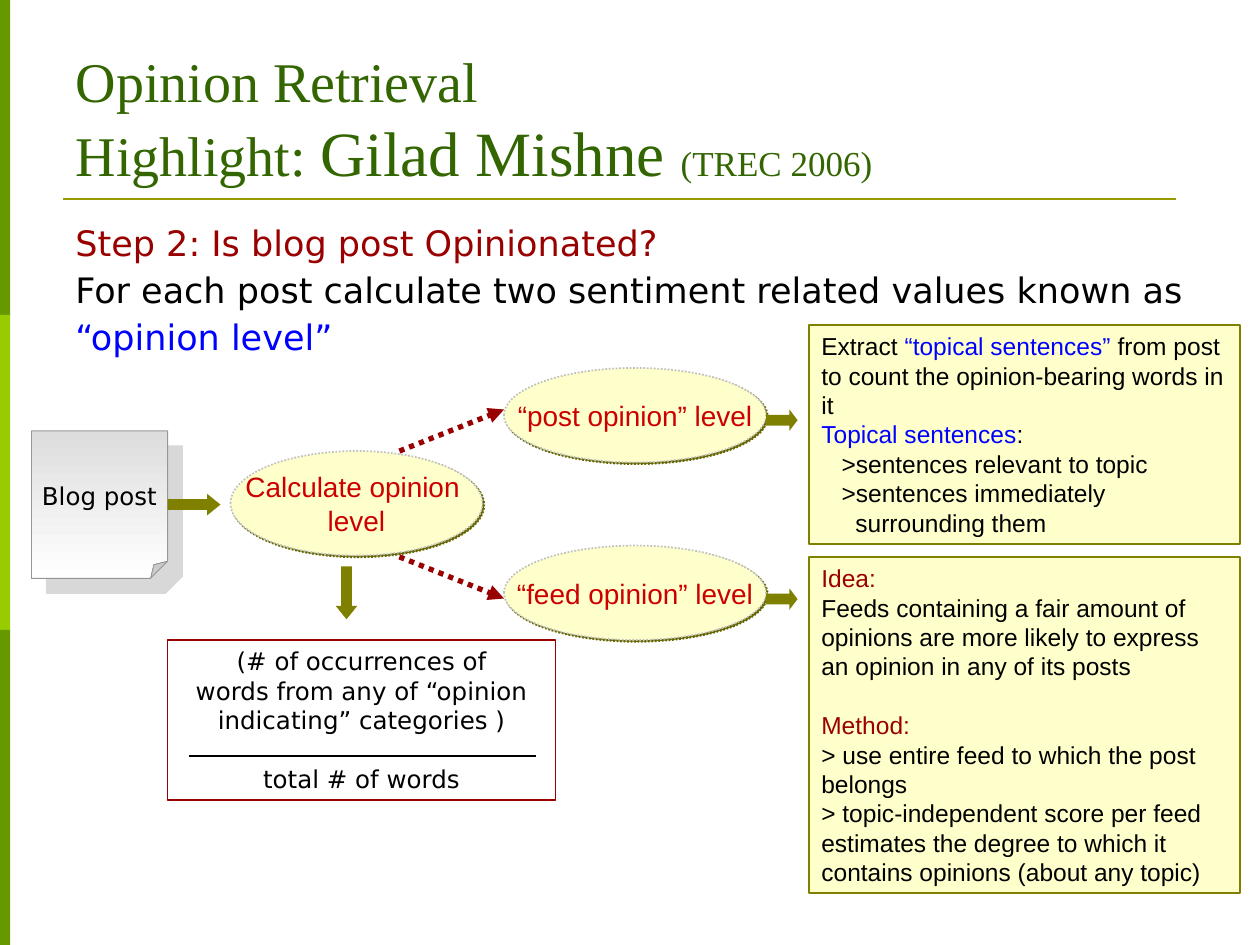
from lxml import etree
from pptx import Presentation
from pptx.dml.color import RGBColor
from pptx.enum import dml, shapes, text
from pptx.oxml import ns
from pptx.util import Inches, Pt

PINE = RGBColor(0x33, 0x66, 0x00)
GREEN = RGBColor(0x66, 0x99, 0x00)
LIME = RGBColor(0x99, 0xCC, 0x00)
GOLD = RGBColor(0x99, 0x99, 0x00)
OLIVE = RGBColor(0x80, 0x80, 0x00)
CREAM = RGBColor(0xFF, 0xFF, 0xCC)
MAROON = RGBColor(0x99, 0x00, 0x00)
RED = RGBColor(0xCC, 0x00, 0x00)
BLUE = RGBColor(0x00, 0x00, 0xFF)
BLACK = RGBColor(0x00, 0x00, 0x00)
SILVER = RGBColor(0xC0, 0xC0, 0xC0)
GRAY = RGBColor(0x96, 0x96, 0x96)
PALE = RGBColor(0xDD, 0xDD, 0xDD)
WHITE = RGBColor(0xFF, 0xFF, 0xFF)

SERIF, SANS, WIDE = "Times New Roman", "Arial", "DejaVu Sans"
KIND = shapes.MSO_SHAPE
LEFT, MID = text.PP_ALIGN.LEFT, text.PP_ALIGN.CENTER
GAP = 16.8  # one text line, in points

# A paragraph is a list of (text, colour[, size]) runs; "\n" breaks the line.
TITLE = [[("Opinion Retrieval", PINE), ("\n", PINE), ("Highlight: ", PINE),
          ("Gilad Mishne ", PINE, 36), ("(TREC 2006)", PINE, 20)]]
INTRO = [
    [("Step 2: Is blog post Opinionated?", MAROON)],
    [("For each post calculate two sentiment related values known as", BLACK)],
    [("“opinion level”", BLUE)],
]
TOPICAL = [
    [("Extract ", BLACK), ("“topical sentences”", BLUE),
     (" from post to count the opinion-bearing words in it", BLACK)],
    [("Topical sentences", BLUE), (":", BLACK)],
    [(">sentences relevant to topic", BLACK)],
    [(">sentences immediately", BLACK), ("\n", BLACK),
     ("surrounding them", BLACK)],
]
FEED = [
    [("Idea:", MAROON)],
    [("Feeds containing a fair amount of opinions are more likely to express "
      "an opinion in any of its posts", BLACK)],
    [("Method:", MAROON)],
    [("> use entire feed to which the post", BLACK)],
    [("belongs", BLACK)],
    [("> topic-independent score per feed estimates the degree to which it "
      "contains opinions (about any topic)", BLACK)],
]
RATIO = [
    [("(# of occurrences of", BLACK)],
    [("words from any of “opinion indicating” categories )", BLACK)],
    [("total # of words", BLACK)],
]
OVALS = [
    ((1.83, 3.58, 2, 0.83), ["Calculate opinion ", "level"]),
    ((4, 2.92, 2.08, 0.75), ["“post opinion” level"]),
    ((4, 4.33, 2.08, 0.75), ["“feed opinion” level"]),
]
ARROWS = [  # left, top, length, turn
    (1.33, 3.92, 0.42, 0), (2.54, 4.62, 0.42, 90),
    (6.08, 3.25, 0.25, 0), (6.08, 4.67, 0.25, 0),
]
DOTTED = [(3.17, 3.58, 4, 3.25), (3.17, 4.42, 4, 4.75)]


def write(shape, paras, font, size, align=LEFT, wrap=True,
          anchor=text.MSO_ANCHOR.TOP):
    frame = shape.text_frame
    frame.auto_size = text.MSO_AUTO_SIZE.NONE
    frame.word_wrap = wrap
    frame.vertical_anchor = anchor
    for i, runs in enumerate(paras):
        para = frame.add_paragraph() if i else frame.paragraphs[0]
        para.alignment = align
        for words, color, *own in runs:
            if words == "\n":
                para.add_line_break()
                continue
            run = para.add_run()
            run.text = words
            run.font.name = font
            run.font.size = Pt(own[0] if own else size)
            run.font.color.rgb = color
    return frame.paragraphs


def block(kind, box, fill=None, edge=None, width=1):
    shape = slide.shapes.add_shape(kind, *map(Inches, box))
    shape.shadow.inherit = False
    if fill is None:
        shape.fill.background()
    else:
        shape.fill.solid()
        shape.fill.fore_color.rgb = fill
    if edge is None:
        shape.line.fill.background()
    else:
        shape.line.color.rgb = edge
        shape.line.width = Pt(width)
    return shape


def cast(shape, color, dist, alpha):
    """Add a hard shadow towards the lower right."""
    effects = shape._element.spPr.find(ns.qn("a:effectLst"))
    outer = etree.SubElement(effects, ns.qn("a:outerShdw"), blurRad="0",
                             dist=str(Pt(dist)), dir="2700000", algn="ctr",
                             rotWithShape="0")
    tint = etree.SubElement(outer, ns.qn("a:srgbClr"), val=color)
    etree.SubElement(tint, ns.qn("a:alpha"), val=str(alpha * 1000))


def rule(ends, color, width, dotted=False):
    line = slide.shapes.add_connector(shapes.MSO_CONNECTOR.STRAIGHT,
                                      *map(Inches, ends))
    line.line.color.rgb = color
    line.line.width = Pt(width)
    if dotted:
        line.line.dash_style = dml.MSO_LINE.ROUND_DOT
        etree.SubElement(line.line._get_or_add_ln(), ns.qn("a:tailEnd"),
                         type="triangle")
    etree.SubElement(line._element.spPr, ns.qn("a:effectLst"))


deck = Presentation()
deck.slide_width, deck.slide_height = Inches(10), Inches(7.5)
slide = deck.slides.add_slide(deck.slide_layouts[5])

for i, color in enumerate([GREEN, LIME, GREEN]):
    block(KIND.RECTANGLE, (0, 2.5 * i, 0.08, 2.5), color)
rule((0.5, 1.58, 9.33, 1.58), GOLD, 1.5)

title = slide.shapes.title
title.left, title.top, title.width, title.height = map(
    Inches, (0.5, 0.3, 9, 1.25))
write(title, TITLE, SERIF, 32, anchor=text.MSO_ANCHOR.BOTTOM)

intro = slide.shapes.add_textbox(*map(Inches, (0.5, 1.75, 9, 5.58)))
for i, para in enumerate(write(intro, INTRO, WIDE, 20)):
    para.line_spacing = 0.9
    para.space_before = Pt(5 if i else 0)

for box, lines in OVALS:
    oval = block(KIND.OVAL, box, CREAM, SILVER)
    oval.line.dash_style = dml.MSO_LINE.ROUND_DOT
    cast(oval, "666600", 1.4, 100)
    write(oval, [[(words, RED)] for words in lines], SANS, 16, MID, False,
          text.MSO_ANCHOR.MIDDLE)

post = block(KIND.FOLDED_CORNER, (0.25, 3.42, 1.08, 1.17), WHITE, GRAY, 0.5)
guides = post._element.spPr.find(ns.qn("a:prstGeom")).find(ns.qn("a:avLst"))
for guide in list(guides):
    guides.remove(guide)
etree.SubElement(guides, ns.qn("a:gd"), name="adj", fmla="val 12500")
post.fill.gradient()
post.fill.gradient_angle = 270
for stop, color, place in zip(post.fill.gradient_stops, (PALE, WHITE), (0, 1)):
    stop.color.rgb = color
    stop.position = place
cast(post, "B2B2B2", 12.1, 50)
write(post, [[("Blog post", BLACK)]], WIDE, 14, MID, False,
      text.MSO_ANCHOR.MIDDLE)

for left, top, length, turn in ARROWS:
    arrow = block(KIND.RIGHT_ARROW, (left, top, length, 0.17), OLIVE)
    arrow.adjustments[1] = 0.62 if length > 0.3 else 0.38
    arrow.rotation = turn
for ends in DOTTED:
    rule(ends, MAROON, 3, dotted=True)

topical = block(KIND.RECTANGLE, (6.42, 2.58, 3.42, 1.74), CREAM, OLIVE)
for para in write(topical, TOPICAL, SANS, 14)[2:]:
    props = para._p.get_or_add_pPr()
    props.set("marL", str(Inches(0.27)))
    props.set("indent", str(Inches(-0.11)))

feed = block(KIND.RECTANGLE, (6.42, 4.42, 3.42, 2.67), CREAM, OLIVE)
write(feed, FEED, SANS, 14)[2].space_before = Pt(GAP)

ratio = block(KIND.RECTANGLE, (1.33, 5.08, 3.08, 1.27), edge=MAROON)
write(ratio, RATIO, WIDE, 14, MID)[2].space_before = Pt(GAP)
rule((1.5, 6, 4.25, 6), BLACK, 1)

deck.save("out.pptx")
